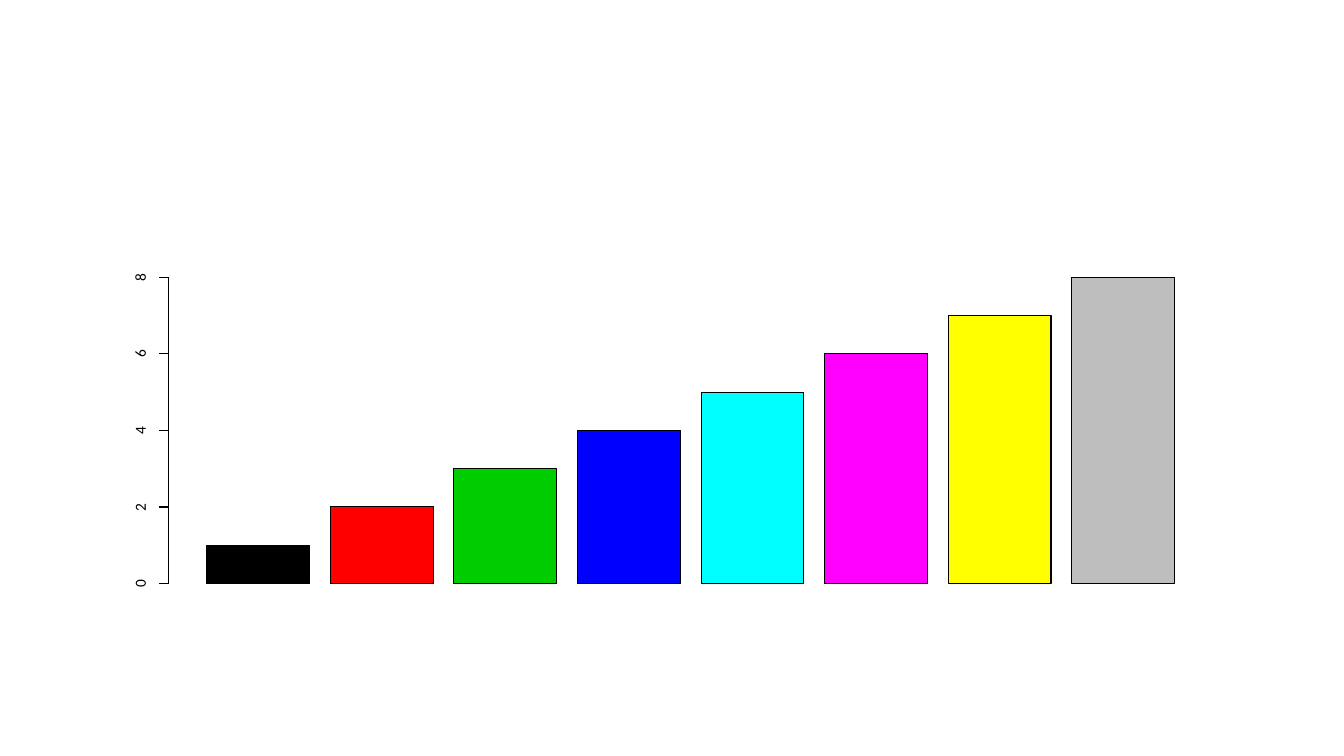
import pptx
import pptx.util
import pptx.dml.color
import pptx.enum.shapes
import pptx.enum.text
import pptx.oxml
import pptx.oxml.ns

Inches = pptx.util.Inches
Pt = pptx.util.Pt


def color(hex_string):
    """Turn a hex string into a colour."""
    return pptx.dml.color.RGBColor.from_string(hex_string)


def add_axis_line(page, x1, y1, x2, y2):
    """Draw a thin black line without a shadow, in inches."""
    line = page.shapes.add_connector(
        pptx.enum.shapes.MSO_CONNECTOR.STRAIGHT,
        Inches(x1), Inches(y1), Inches(x2), Inches(y2))
    line.line.color.rgb = color("000000")
    line.line.width = Pt(0.75)
    line._element.spPr.append(
        pptx.oxml.parse_xml("<a:effectLst %s/>" % pptx.oxml.ns.nsdecls("a")))


deck = pptx.Presentation()
deck.slide_width = Inches(13.33)
deck.slide_height = Inches(7.5)
page = deck.slides.add_slide(deck.slide_layouts[6])

BASELINE = 5.79
UNIT_HEIGHT = 0.38
BAR_COLORS = ["000000", "FF0000", "00CD00", "0000FF",
              "00FFFF", "FF00FF", "FFFF00", "BEBEBE"]
FIRST_BAR, LAST_BAR, BAR_WIDTH = 2.05, 10.63, 1.02
bar_step = (LAST_BAR - FIRST_BAR) / (len(BAR_COLORS) - 1)

for index, bar_color in enumerate(BAR_COLORS):
    height = (index + 1) * UNIT_HEIGHT
    bar = page.shapes.add_shape(
        pptx.enum.shapes.MSO_SHAPE.RECTANGLE,
        Inches(FIRST_BAR + index * bar_step), Inches(BASELINE - height),
        Inches(BAR_WIDTH), Inches(height))
    bar.shadow.inherit = False
    bar.fill.solid()
    bar.fill.fore_color.rgb = color(bar_color)
    bar.line.color.rgb = color("000000")
    bar.line.width = Pt(0.75)

AXIS_X, TICK_X = 1.67, 1.58
LABEL_X, LABEL_WIDTH, LABEL_HEIGHT = 1.36, 0.08, 0.1
axis_top = BASELINE - len(BAR_COLORS) * UNIT_HEIGHT
add_axis_line(page, AXIS_X, BASELINE, AXIS_X, axis_top)

for value in range(0, 9, 2):
    y = BASELINE - value * UNIT_HEIGHT
    add_axis_line(page, AXIS_X, y, TICK_X, y)

    box = page.shapes.add_textbox(
        Inches(LABEL_X), Inches(y - LABEL_HEIGHT / 2),
        Inches(LABEL_WIDTH), Inches(LABEL_HEIGHT))
    box.rotation = 270
    frame = box.text_frame
    frame.word_wrap = False
    frame.vertical_anchor = pptx.enum.text.MSO_ANCHOR.MIDDLE
    frame.margin_left = frame.margin_right = 0
    frame.margin_top = frame.margin_bottom = 0
    para = frame.paragraphs[0]
    para.text = str(value)
    para.line_spacing = Pt(11)
    para.font.size = Pt(11)
    para.font.name = "Calibri"
    para.font.color.rgb = color("000000")

deck.save("out.pptx")
